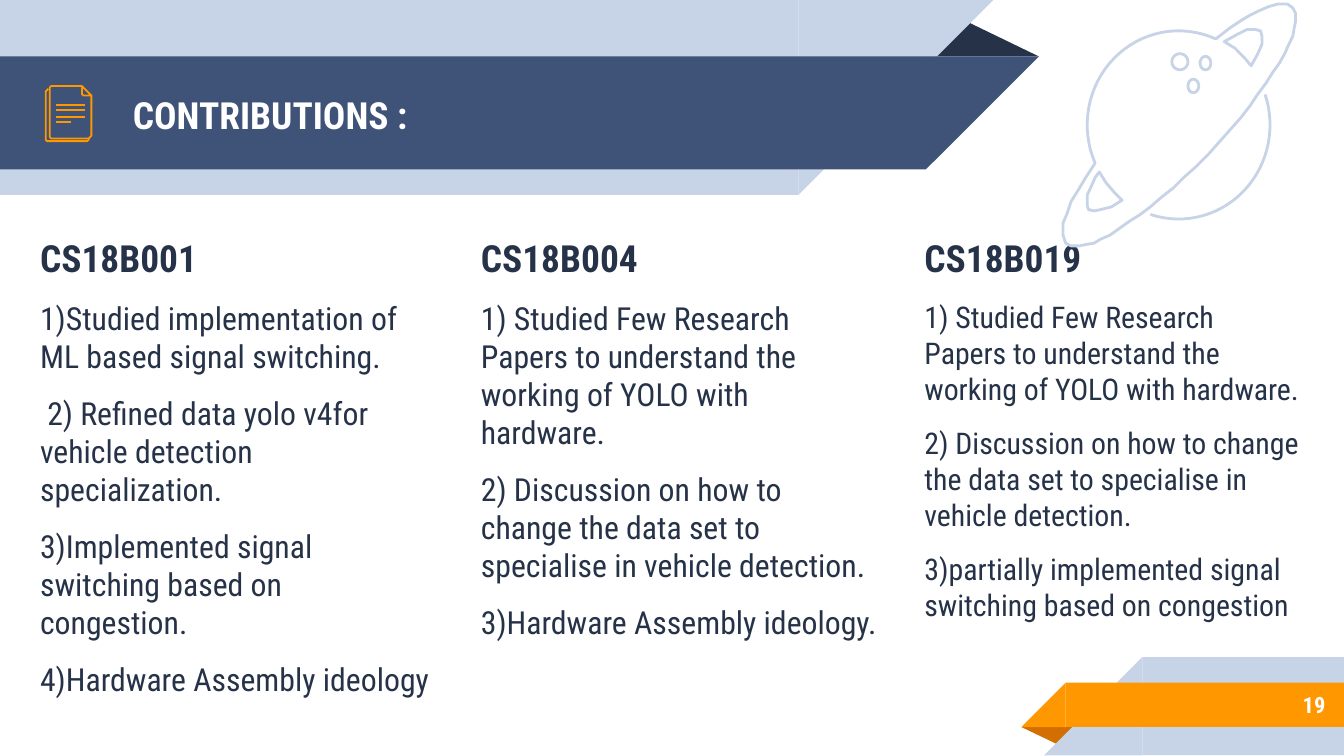
from math import cos, radians, sin

from lxml import etree
from pptx import Presentation
from pptx.dml.color import RGBColor
from pptx.enum.shapes import MSO_CONNECTOR, MSO_SHAPE
from pptx.enum.text import MSO_ANCHOR, PP_ALIGN
from pptx.oxml.ns import qn
from pptx.util import Inches, Pt

RECTANGLE = MSO_SHAPE.RECTANGLE
RIGHT_TRIANGLE = MSO_SHAPE.RIGHT_TRIANGLE
TRIANGLE = MSO_SHAPE.ISOSCELES_TRIANGLE
STRAIGHT = MSO_CONNECTOR.STRAIGHT
TOP, MIDDLE = MSO_ANCHOR.TOP, MSO_ANCHOR.MIDDLE
LEFT, RIGHT = PP_ALIGN.LEFT, PP_ALIGN.RIGHT

NAVY = RGBColor(0x26, 0x32, 0x48)
BLUE = RGBColor(0x3F, 0x53, 0x78)
PALE = RGBColor(0xC7, 0xD3, 0xE6)
ORANGE = RGBColor(0xFF, 0x98, 0x00)
BROWN = RGBColor(0xD2, 0x6F, 0x00)
WHITE = RGBColor(0xFF, 0xFF, 0xFF)
FONT = "Roboto Condensed"
PAGE_WIDTH = 10
PAGE_HEIGHT = PAGE_WIDTH * 9 / 16

HEADER_BANDS = [(5.94, 0, 1.45, PALE), (6.89, 0.42, 0.84, BLUE)]
FOOTER_BANDS = [(8.5, 4.89, 0.73, PALE), (7.93, 5.08, 0.33, ORANGE)]
HEADER_FOLD = (6.88, 0.14, 0.85, 0.28)
FOOTER_FOLD = (7.6, 5.41, 0.43, 0.14)

TITLE = "CONTRIBUTIONS :"
PAGE_NUMBER = "19"
COLUMNS = [
    ((0.2, 1.65, 3.13, 3.57), 17, "CS18B001", [
        "1)Studied implementation of ML based signal switching.",
        " 2) Refined data yolo v4for vehicle detection specialization.",
        "3)Implemented signal switching based on congestion.",
        "4)Hardware Assembly ideology",
    ]),
    ((3.48, 1.65, 3.16, 3.13), 17, "CS18B004", [
        "1) Studied Few Research Papers to understand the working of YOLO with hardware.",
        "2) Discussion on how to change the data set to specialise in vehicle detection.",
        "3)Hardware Assembly ideology.",
    ]),
    ((6.78, 1.65, 2.99, 3.13), 16, "CS18B019", [
        "1) Studied Few Research Papers to understand the working of YOLO with hardware.",
        "2) Discussion on how to change the data set to specialise in vehicle detection.",
        "3)partially implemented signal switching based on congestion",
    ]),
]

BACK_SHEET = [(0.66, 1.03), (0.66, 1.04), (0.65, 1.05), (0.36, 1.05), (0.35, 1.05),
              (0.34, 1.04), (0.34, 0.68), (0.35, 0.67), (0.36, 0.66)]
FRONT_SHEET = [(0.68, 0.71), (0.68, 1.01), (0.67, 1.02), (0.66, 1.03), (0.38, 1.03),
               (0.37, 1.02), (0.37, 0.65), (0.38, 0.64), (0.61, 0.64)]
CORNER = [(0.61, 0.7), (0.61, 0.64), (0.68, 0.71), (0.62, 0.71)]
TEXT_RULES = [(0.53, 0.91), (0.63, 0.87), (0.63, 0.82), (0.63, 0.78)]

PLANET = (8.77, 0.93, 0.68, 0.7)
CRATERS = [(8.78, 0.46, 0.06, 0.06), (8.88, 0.64, 0.04, 0.05), (8.97, 0.47, 0.04, 0.05)]
RING = [(8.08, 1.32), (8.02, 1.42), (7.97, 1.5), (7.94, 1.59), (7.91, 1.66), (7.91, 1.75),
        (7.93, 1.81), (7.97, 1.83), (8.03, 1.83), (8.08, 1.82), (8.14, 1.81), (8.19, 1.78),
        (8.26, 1.75), (8.33, 1.7), (8.4, 1.65), (8.48, 1.6), (8.56, 1.54), (8.64, 1.47),
        (8.73, 1.4), (8.81, 1.32), (8.9, 1.24), (8.99, 1.15), (9.07, 1.06), (9.15, 0.97),
        (9.23, 0.88), (9.3, 0.79), (9.36, 0.7), (9.42, 0.62), (9.47, 0.54), (9.52, 0.47),
        (9.56, 0.4), (9.59, 0.33), (9.62, 0.27), (9.63, 0.21), (9.64, 0.16), (9.64, 0.1),
        (9.62, 0.06), (9.58, 0.03), (9.51, 0.03), (9.44, 0.05), (9.37, 0.08), (9.29, 0.12),
        (9.24, 0.15), (9.15, 0.21)]
LOWER_GAP = [(8.1, 1.56), (8.09, 1.53), (8.09, 1.45), (8.11, 1.41), (8.15, 1.32),
             (8.18, 1.28), (8.23, 1.36), (8.29, 1.43), (8.35, 1.49), (8.27, 1.54),
             (8.19, 1.56), (8.14, 1.57)]
UPPER_GAP = [(9.31, 0.49), (9.26, 0.43), (9.19, 0.36), (9.11, 0.31), (9.2, 0.26),
             (9.28, 0.22), (9.34, 0.22), (9.38, 0.23), (9.39, 0.27), (9.39, 0.33),
             (9.36, 0.4)]


def add_solid(page, kind, area, color, rotation=0, flipped=False):
    shape = page.shapes.add_shape(kind, *map(Inches, area))
    shape.shadow.inherit = False
    shape.fill.solid()
    shape.fill.fore_color.rgb = color
    shape.line.fill.background()
    shape.rotation = rotation
    if flipped:
        shape._element.spPr.find(qn("a:xfrm")).set("flipH", "1")
    return shape


def add_text(page, area, lines, color, anchor=TOP, align=LEFT):
    box = page.shapes.add_textbox(*map(Inches, area))
    frame = box.text_frame
    frame.word_wrap = True
    frame.vertical_anchor = anchor
    frame.margin_left = frame.margin_right = Inches(0.1)
    frame.margin_top = frame.margin_bottom = Inches(0.1)
    for index, (text, size, bold) in enumerate(lines):
        para = frame.paragraphs[0] if index == 0 else frame.add_paragraph()
        para.alignment = align
        if index:
            para.space_before = Pt(10)
        span = para.add_run()
        span.text = text
        span.font.name = FONT
        span.font.size = Pt(size)
        span.font.bold = bold
        span.font.color.rgb = color


def arc(ellipse, start, end, steps):
    center_x, center_y, radius_x, radius_y = ellipse
    angles = [radians(start + (end - start) * step / steps) for step in range(steps + 1)]
    return [(center_x + radius_x * cos(angle), center_y + radius_y * sin(angle))
            for angle in angles]


def add_outline(page, contours, color, width, close=False):
    contours = [[(Inches(x), Inches(y)) for x, y in contour] for contour in contours]
    builder = page.shapes.build_freeform(*contours[0][0])
    for index, contour in enumerate(contours):
        if index:
            builder.move_to(*contour[0])
        builder.add_line_segments(contour[1:], close=close)
    shape = builder.convert_to_shape()
    shape.shadow.inherit = False
    shape.fill.background()
    shape.line.color.rgb = color
    shape.line.width = Pt(width)


def add_rule(page, start_x, end_x, y, color, width):
    rule = page.shapes.add_connector(
        STRAIGHT, Inches(start_x), Inches(y), Inches(end_x), Inches(y))
    rule.line.color.rgb = color
    rule.line.width = Pt(width)
    etree.SubElement(rule._element.spPr, qn("a:effectLst"))


def add_fold(page, area, color, rotation):
    fold = add_solid(page, TRIANGLE, area, color, rotation)
    fold.adjustments[0] = 0.32


def add_ribbons(page):
    add_fold(page, HEADER_FOLD, NAVY, 0)
    for edge, top, side, color in HEADER_BANDS:
        add_solid(page, RECTANGLE, (0, top, edge, side), color)
        add_solid(page, RIGHT_TRIANGLE, (edge, top, side, side), color, 180, True)
    add_fold(page, FOOTER_FOLD, BROWN, 180)
    for edge, top, side, color in FOOTER_BANDS:
        add_solid(page, RECTANGLE, (edge, top, PAGE_WIDTH - edge, side), color)
        add_solid(page, RIGHT_TRIANGLE, (edge - side, top, side, side), color, 0, True)


def add_document_icon(page):
    for sheet in (BACK_SHEET, FRONT_SHEET):
        add_outline(page, [sheet], ORANGE, 0.96)
    for end_x, y in TEXT_RULES:
        add_rule(page, 0.42, end_x, y, ORANGE, 0.96)
    add_outline(page, [CORNER], ORANGE, 0.96, close=True)


def add_planet(page):
    add_outline(page, [arc(PLANET, 108, -19, 30)], PALE, 1.5)
    craters = [arc(crater, 0, 345, 23) for crater in CRATERS]
    body = arc(PLANET, -66, -204, 32) + RING
    add_outline(page, [body, LOWER_GAP, *craters, UPPER_GAP], PALE, 1.5, close=True)


def main():
    deck = Presentation()
    deck.slide_width = Inches(PAGE_WIDTH)
    deck.slide_height = Inches(PAGE_HEIGHT)
    page = deck.slides.add_slide(deck.slide_layouts[6])
    add_ribbons(page)
    add_text(page, (0.89, 0.43, 5.75, 0.84), [(TITLE, 20, True)], WHITE, MIDDLE)
    add_text(page, (8.33, 5.07, 1.63, 0.35), [(PAGE_NUMBER, 12, True)], WHITE, MIDDLE, RIGHT)
    add_document_icon(page)
    for area, size, heading, items in COLUMNS:
        lines = [(heading, 20, True)] + [(item, size, False) for item in items]
        add_text(page, area, lines, NAVY)
    add_planet(page)
    deck.save("out.pptx")


if __name__ == "__main__":
    main()
